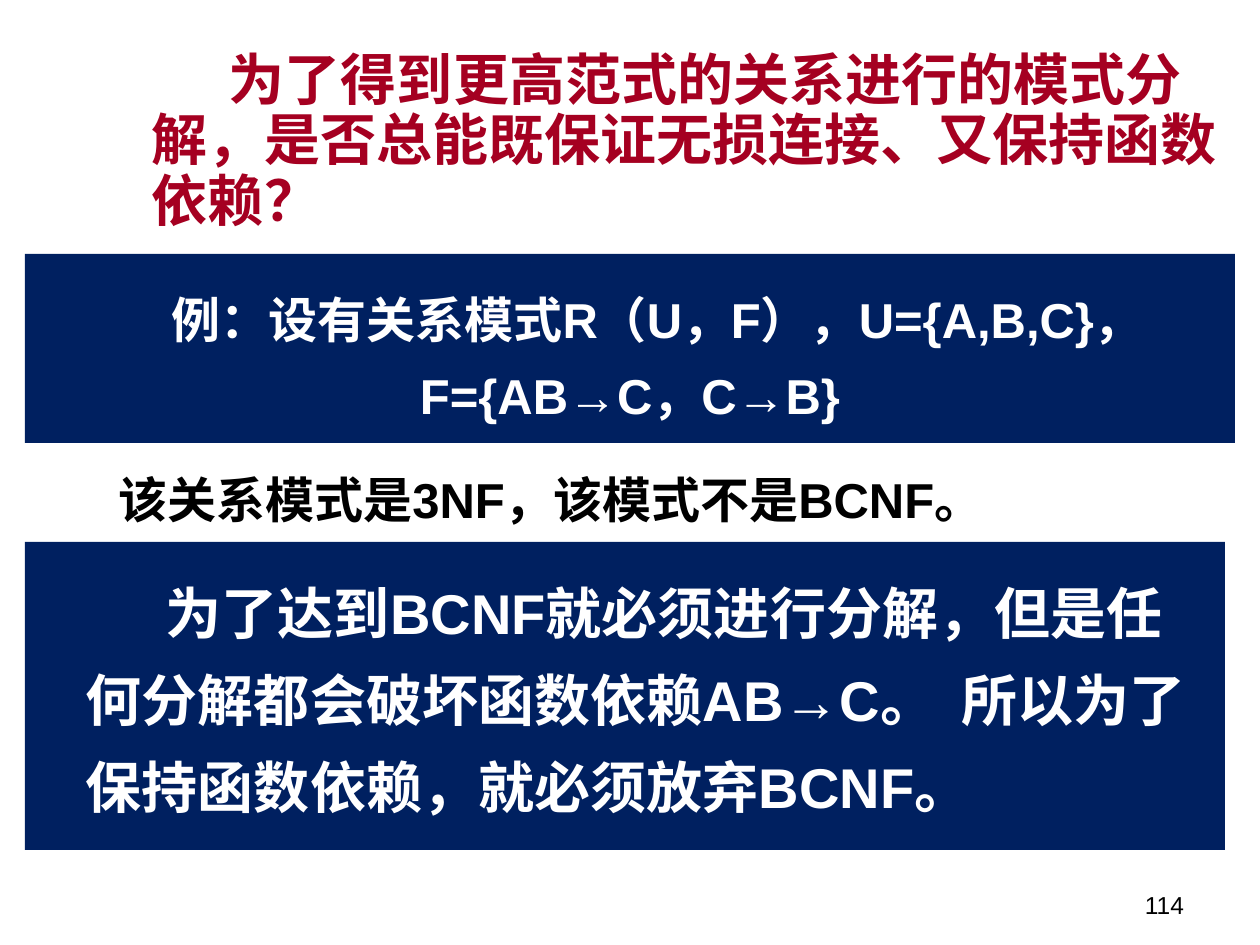
"""Build a slide on lossless, dependency-preserving decomposition."""
from pptx import Presentation
from pptx.dml.color import RGBColor
from pptx.enum.shapes import MSO_SHAPE
from pptx.enum.text import MSO_ANCHOR, PP_ALIGN
from pptx.util import Emu, Pt

PX = 914400 // 126
NAVY, WHITE, RED, BLACK = "002060", "FFFFFF", "A50021", "000000"
PARTS = [
    dict(text=["114"], at=(903, 861, 294, 65), size=14, ink=BLACK, bold=False,
         align=PP_ALIGN.RIGHT, anchor=MSO_ANCHOR.BOTTOM),
    dict(text=["例：设有关系模式R（U，F），U={A,B,C}，F={AB→C，C→B}"],
         at=(25, 254, 1210, 189), size=28, ink=WHITE, fill=NAVY, lines=1.3,
         align=PP_ALIGN.CENTER, anchor=MSO_ANCHOR.MIDDLE, first=54),
    dict(text=["为了达到BCNF就必须进行分解，但是任何分解都会破坏函数依赖AB→C。",
               " ", "所以为了保持函数依赖，就必须放弃BCNF。"],
         at=(25, 542, 1200, 308), size=32, ink=WHITE, fill=NAVY, lines=1.3,
         left=48, first=80, top=16),
    dict(text=["为了得到更高范式的关系进行的模式分解，是否总能既保证无损连接、又保持函数依赖？"],
         at=(139, 45, 1121, 194), size=32, ink=RED, lines=0.9, first=77,
         top=7, right=35),
    dict(text=["该关系模式是3NF，该模式不是BCNF。"], at=(83, 462, 936, 72),
         size=28, ink=BLACK, align=PP_ALIGN.CENTER, top=8, side=3, right=3),
]


def px(num):
    return Emu(num * PX)


def color(code):
    return RGBColor.from_string(code)


def put(item, vals):
    for key, val in vals.items():
        setattr(item, key, val)


def write(para, text, part):
    run = para.add_run()
    run.text = text
    put(run.font, dict(name="Arial", size=Pt(part["size"]),
                       bold=part.get("bold", True)))
    run.font.color.rgb = color(part["ink"])
    if text == " ":
        run.font._element.set("spc", "700")


def draw(slide, part):
    box = [px(num) for num in part["at"]]
    if "fill" in part:
        shape = slide.shapes.add_shape(MSO_SHAPE.RECTANGLE, *box)
        shape.shadow.inherit = False
        shape.fill.solid()
        shape.fill.fore_color.rgb = color(part["fill"])
        shape.line.fill.background()
    else:
        shape = slide.shapes.add_textbox(*box)
    frame = shape.text_frame
    put(frame, dict(word_wrap=True,
                    vertical_anchor=part.get("anchor", MSO_ANCHOR.TOP),
                    margin_top=px(part.get("top", 6)),
                    margin_left=px(part.get("side", 13)),
                    margin_right=px(part.get("right", 13))))
    para = frame.paragraphs[0]
    props = para._p.get_or_add_pPr()
    props.set("marL", str(px(part.get("left", 0))))
    props.set("indent", str(px(part.get("first", 0))))
    put(para, dict(alignment=part.get("align", PP_ALIGN.LEFT),
                   line_spacing=part.get("lines", 1.0)))
    for text in part["text"]:
        write(para, text, part)


def main():
    deck = Presentation()
    put(deck, dict(slide_width=px(1260), slide_height=px(945)))
    slide = deck.slides.add_slide(deck.slide_layouts[6])
    for part in PARTS:
        draw(slide, part)
    deck.save("out.pptx")


if __name__ == "__main__":
    main()
